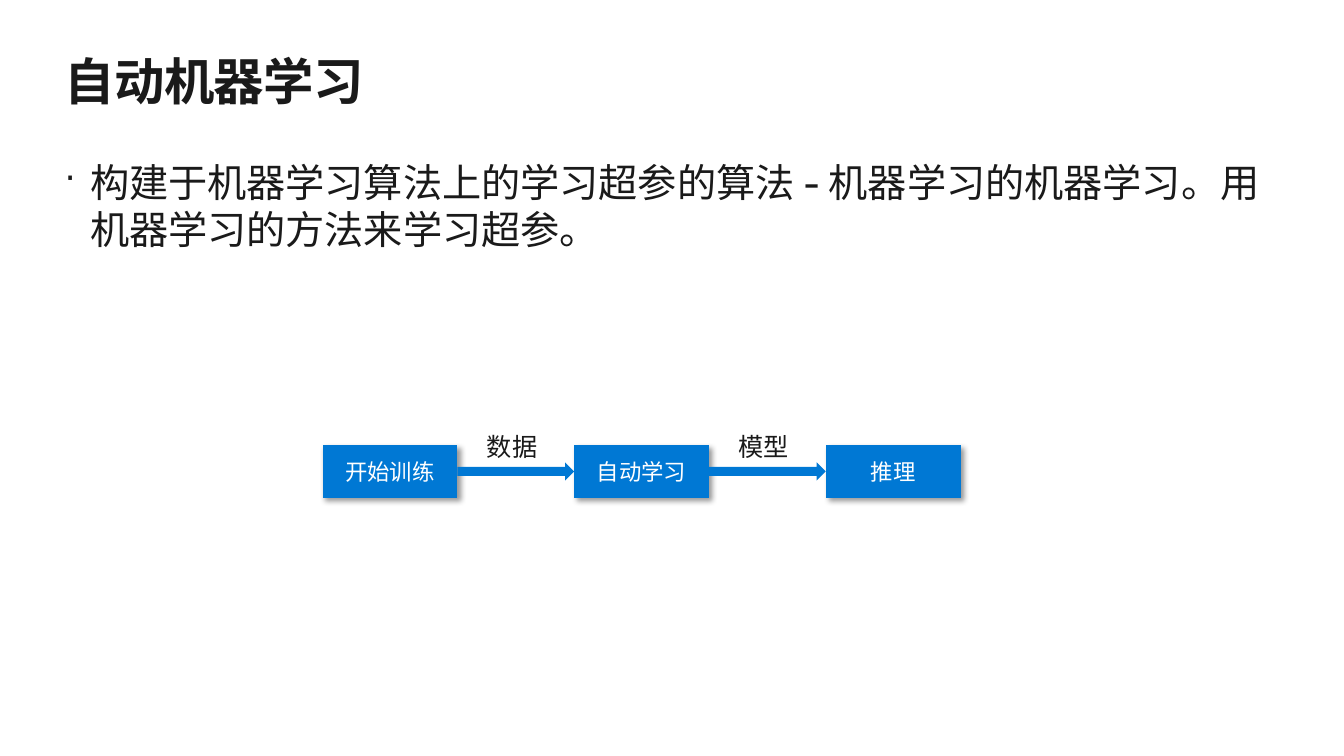
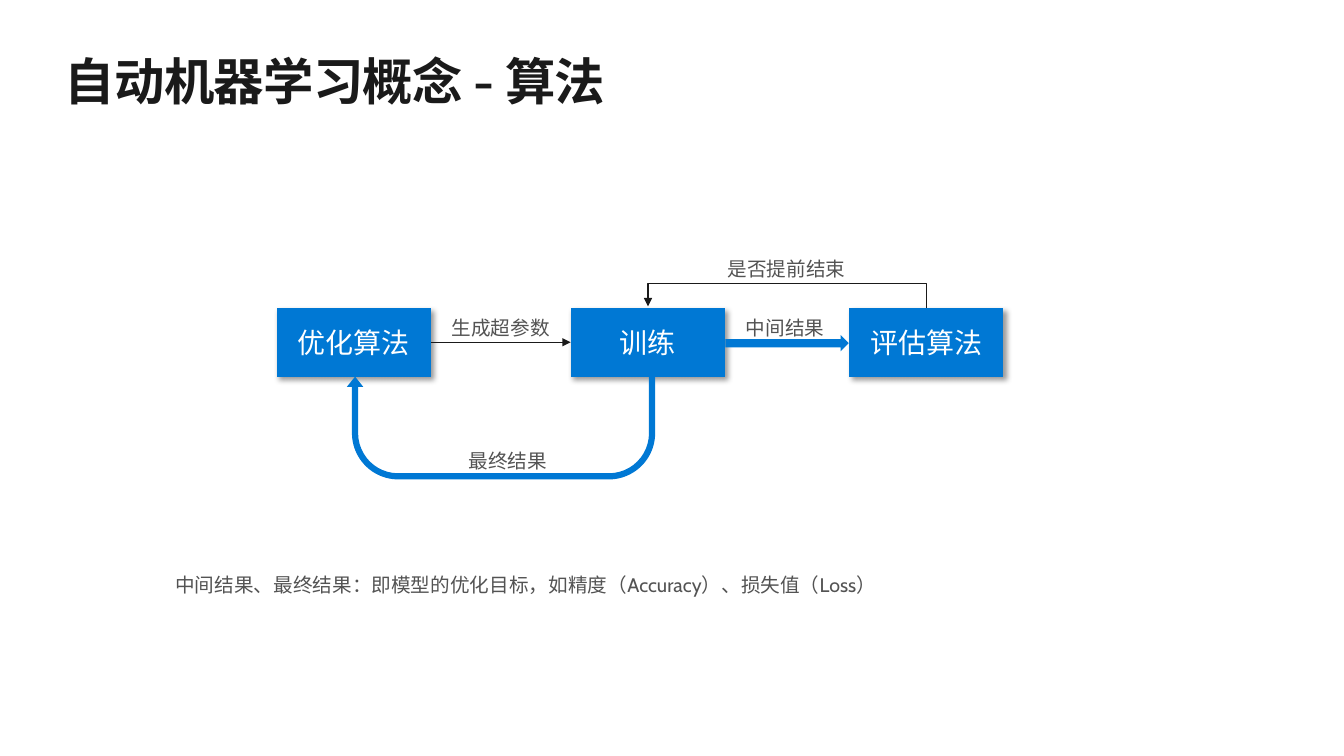
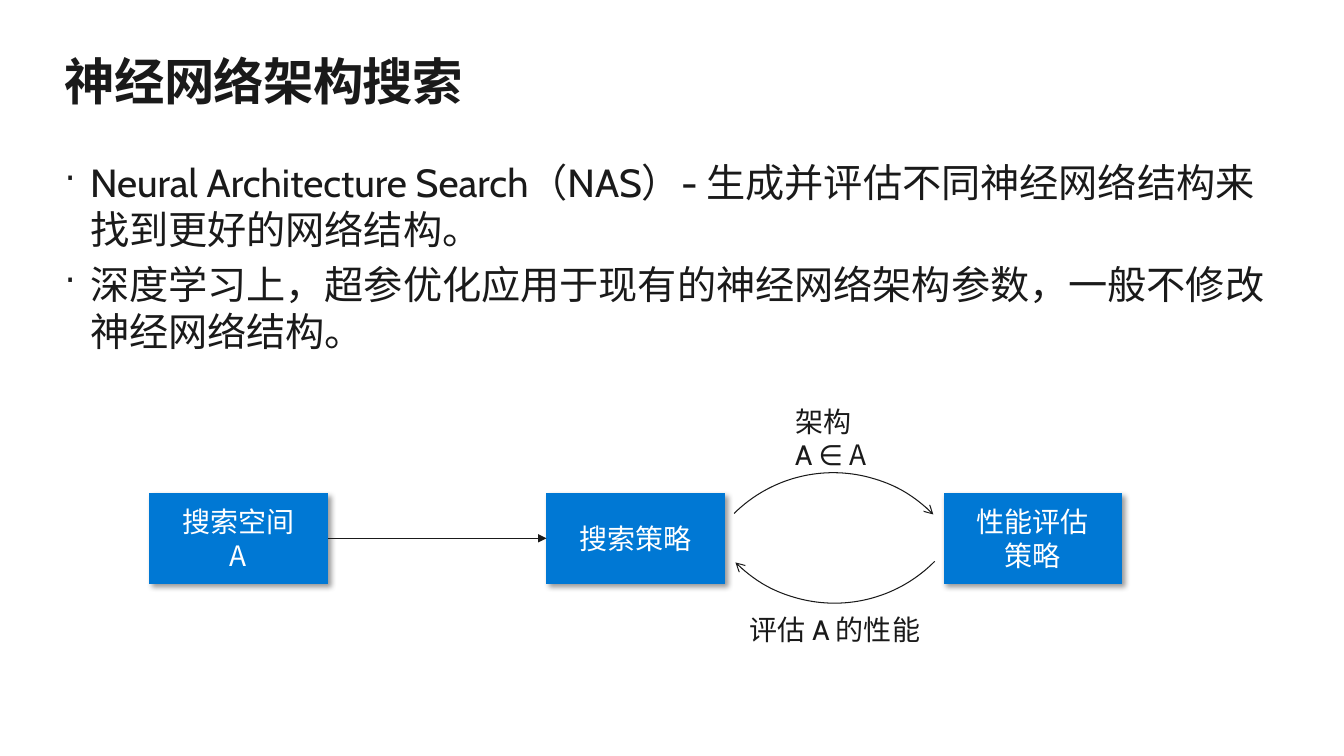
from lxml import etree
from pptx import Presentation
from pptx.dml.color import RGBColor
from pptx.enum import shapes, text
from pptx.oxml.ns import qn
from pptx.util import Cm, Pt

BLUE, INK, GREY, WHITE = "0078D4", "1A1A1A", "535353", "FFFFFF"
FONT, SYMBOL_FONT = "Cabin", "Noto Sans CJK SC"
SHAPE = shapes.MSO_SHAPE


def rgb(value):
    return RGBColor.from_string(value)


def child(parent, tag, **attributes):
    return etree.SubElement(parent, qn(tag), **attributes)


def write(frame, content, size=18, color=INK, bold=False, align=None,
          tracking=None, bullet=False, line=None, wrap=False):
    """Fill a frame; content is a paragraph or a list of paragraphs.

    A paragraph is a string or a tuple of (text, font) runs.
    """
    frame.word_wrap = wrap
    paragraphs = content if isinstance(content, list) else [content]
    for index, runs in enumerate(paragraphs):
        paragraph = frame.paragraphs[0] if index == 0 else frame.add_paragraph()
        if bullet:
            properties = paragraph._p.get_or_add_pPr()
            properties.set("marL", str(Cm(0.64)))
            properties.set("indent", str(-Cm(0.64)))
            child(properties, "a:buSzPct", val="90000")
            child(properties, "a:buChar", char="·")
            if index:
                paragraph.space_before = Pt(size * 0.2)
        if align is not None:
            paragraph.alignment = align
        if line:
            paragraph.line_spacing = Pt(line)
        for words, font in [(runs, FONT)] if isinstance(runs, str) else runs:
            run = paragraph.add_run()
            run.text = words
            run.font.size = Pt(size)
            run.font.bold = bold
            run.font.color.rgb = rgb(color)
            run.font.name = font
            run_properties = run._r.get_or_add_rPr()
            child(run_properties, "a:ea", typeface=font)
            if tracking is not None:
                run_properties.set("spc", str(int(tracking * 100)))


class Deck:
    """Shared style and the slide being built; lengths are in centimetres."""

    def __init__(self):
        self.file = Presentation()
        self.file.slide_width, self.file.slide_height = Cm(33.87), Cm(19.05)
        self.slide = None

    def new_slide(self, title):
        self.slide = self.file.slides.add_slide(self.file.slide_layouts[6])
        self.label(title, 1.63, 1.27, 30.6, 1.55, size=36, bold=True,
                   tracking=-0.5, wrap=True)

    def label(self, content, left, top, width, height, **style):
        box = self.slide.shapes.add_textbox(Cm(left), Cm(top), Cm(width), Cm(height))
        frame = box.text_frame
        frame.margin_left = frame.margin_right = 0
        frame.margin_top = frame.margin_bottom = 0
        write(frame, content, **style)

    def bullets(self, items, height):
        self.label(items, 1.63, 3.99, 30.6, height, size=28, bullet=True, wrap=True)

    def preset(self, kind, left, top, width, height, fill=BLUE):
        shape = self.slide.shapes.add_shape(kind, Cm(left), Cm(top), Cm(width), Cm(height))
        shape.shadow.inherit = False
        if fill:
            shape.fill.solid()
            shape.fill.fore_color.rgb = rgb(fill)
            shape.line.fill.background()
        else:
            shape.fill.background()
        return shape

    def step(self, content, left, top, width, height, size=20, line=None):
        """A process box with a soft shadow."""
        shape = self.preset(SHAPE.FLOWCHART_PROCESS, left, top, width, height)
        effects = shape._element.spPr.find(qn("a:effectLst"))
        shadow = child(effects, "a:outerShdw", blurRad=str(Pt(4)), dist=str(Pt(3)),
                       dir="2700000", algn="tl", rotWithShape="0")
        tint = child(shadow, "a:srgbClr", val="000000")
        child(tint, "a:alpha", val="40000")
        frame = shape.text_frame
        frame.margin_left = frame.margin_right = Cm(0.51)
        frame.margin_top = frame.margin_bottom = Cm(0.41)
        frame.vertical_anchor = text.MSO_ANCHOR.MIDDLE
        write(frame, content, size=size, color=WHITE, line=line, wrap=True,
              align=text.PP_ALIGN.CENTER)
        return shape

    def block_arrow(self, left, middle, width, height):
        self.preset(SHAPE.RIGHT_ARROW, left, middle - height / 2, width, height)

    def arrowhead(self, shape, head):
        shape.line.color.rgb = rgb(INK)
        shape.line.width = Pt(0.75)
        child(shape.line._get_or_add_ln(), "a:tailEnd", type=head)

    def arc(self, left, top, rotation):
        arc = self.preset(SHAPE.ARC, left, top, 7.1, 7.1, fill=None)
        arc.rotation = rotation
        self.arrowhead(arc, "arrow")

    def connector(self, kind, start, end):
        line = self.slide.shapes.add_connector(kind, *map(Cm, start + end))
        self.arrowhead(line, "triangle")
        child(line._element.spPr, "a:effectLst")
        return line

    def link(self, source, target):
        """Straight arrow from a box's right side to the next one's left."""
        line = self.connector(shapes.MSO_CONNECTOR.STRAIGHT, (0, 0), (1, 1))
        line.begin_connect(source, 3)
        line.end_connect(target, 1)

    def loop_back(self, right, left, top, lift):
        """Bent arrow that rises from the right and comes down on the left."""
        depth, center, half = 0.04, (left + right) / 2, (right - left) / 2
        line = self.connector(shapes.MSO_CONNECTOR.ELBOW,
                              (center - depth / 2, top + half),
                              (center + depth / 2, top - half))
        properties = line._element.spPr
        properties.find(qn("a:xfrm")).set("rot", "16200000")
        guides = properties.find(qn("a:prstGeom")).find(qn("a:avLst"))
        child(guides, "a:gd", name="adj1", fmla=f"val {round(lift / depth * 100000)}")


def overview(deck):
    deck.new_slide("自动机器学习")
    deck.bullets(["构建于机器学习算法上的学习超参的算法 - 机器学习的机器学习。"
                  "用机器学习的方法来学习超参。"], 2.4)
    # Chain of steps with block arrows between them
    left, top, width, height, pitch = 8.13, 11.22, 3.4, 1.32, 6.34
    for index, name in enumerate(["开始训练", "自动学习", "推理"]):
        deck.step(name, left + index * pitch, top, width, height, size=16)
    for index, name in enumerate(["数据", "模型"]):
        start = left + index * pitch + width
        deck.block_arrow(start, top + height / 2, pitch - width, 0.46)
        deck.label(name, start + 0.74, 10.87, 1.27, 0.76)


def algorithms(deck):
    deck.new_slide("自动机器学习概念 - 算法")
    # Three steps
    top, width, height = 7.76, 3.9, 1.73
    optimize_left, train_left, assess_left = 6.97, 14.38, 21.39
    optimize = deck.step("优化算法", optimize_left, top, width, height)
    train = deck.step("训练", train_left, top, width, height)
    deck.step("评估算法", assess_left, top, width, height)
    # Arrows
    deck.link(optimize, train)
    train_right = train_left + width
    deck.block_arrow(train_right, top + 0.89, assess_left - train_right, 0.41)
    final = deck.preset(SHAPE.U_TURN_ARROW, 8.74, top + height, 7.77, 2.59)
    final.rotation = 180
    for index, value in enumerate([0.06, 0.08, 0.1, 0.45, 1]):
        final.adjustments[index] = value
    deck.loop_back(assess_left + width / 2, train_left + width / 2, top - 0.02, 0.62)
    # Arrow labels and the note
    for name, left, label_top in [("生成超参数", 11.38, 7.95), ("中间结果", 18.8, 7.95),
                                  ("最终结果", 11.81, 11.3), ("是否提前结束", 18.34, 6.48)]:
        deck.label(name, left, label_top, len(name) * 0.5, 0.61, size=14, color=GREY)
    deck.label("中间结果、最终结果：即模型的优化目标，如精度（Accuracy）、损失值（Loss）",
               4.42, 14.43, 17.93, 1.22, size=14, color=GREY, wrap=True)


def architecture_search(deck):
    deck.new_slide("神经网络架构搜索")
    deck.bullets(["Neural Architecture Search（NAS）- 生成并评估不同神经网络结构来找到更好的网络结构。",
                  "深度学习上，超参优化应用于现有的神经网络架构参数，一般不修改神经网络结构。"], 5.03)
    # Steps
    left, pitch, size = 3.76, 10.01, (4.5, 2.29)
    top = 12.42
    space = deck.step(["搜索空间", (("A", SYMBOL_FONT),)], left, top, *size, line=24)
    strategy = deck.step("搜索策略", left + pitch, top, *size)
    deck.step("性能评估策略", left + 2 * pitch, top, *size)
    # Arrow and the cycle of two arcs
    deck.link(space, strategy)
    deck.arc(17.45, 11.91, 315.3)
    deck.arc(17.48, 8.1, 134.7)
    deck.label(["架构", (("A ∈ ", FONT), ("A", SYMBOL_FONT))],
               20.04, 10.19, 1.96, 1.7, size=20, line=24)
    deck.label("评估 A 的性能", 18.9, 15.44, 4.75, 0.86, size=20, wrap=True)


def main():
    deck = Deck()
    overview(deck)
    algorithms(deck)
    architecture_search(deck)
    deck.file.save("out.pptx")


if __name__ == "__main__":
    main()
